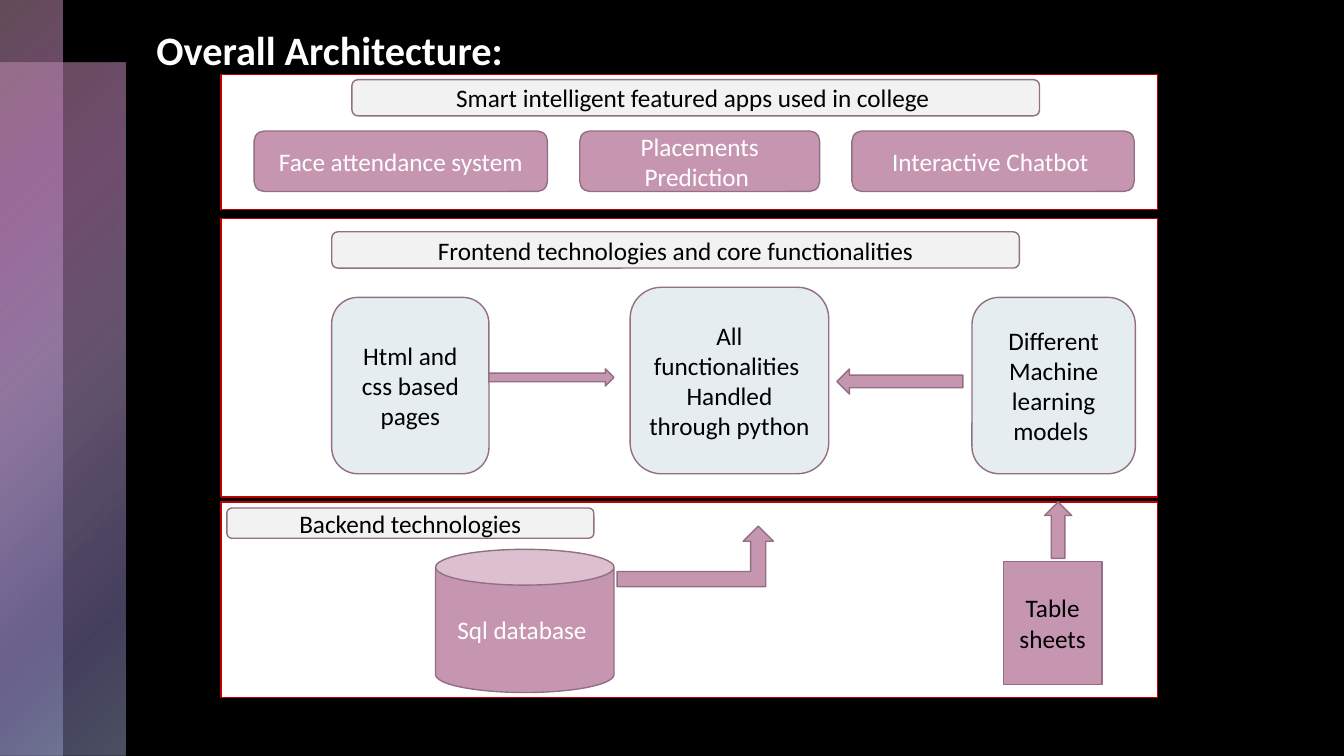
"""Build the overall architecture slide."""
from lxml.etree import SubElement
from pptx import Presentation
from pptx.dml.color import RGBColor
from pptx.enum.shapes import MSO_SHAPE as Shape
from pptx.enum.text import MSO_ANCHOR as Anchor, PP_ALIGN as Align
from pptx.oxml.ns import qn
from pptx.util import Inches, Pt

COLORS = {"black": "000000", "white": "FFFFFF", "red": "C00000", "pink": "C696B1",
          "plum": "926F83", "gray": "F2F2F2", "ice": "E5EDF1"}
TITLE = ("Overall Architecture:", (1.45, 0.18, 5.35, 0.62))
SIDE_BARS = [(0, 0.62, 1.24, 6.88), (0, 0, 0.62, 7.5)]
BAR_STOPS = [(0, "C696B1", 50), (25, "BA7FB9", 60), (50, "B396C6", 55),
             (81, "8A7FBA", 50), (99, "96A1C6", 50)]
PANEL_LEFT, PANEL_WIDTH = 2.19, 9.29
PANELS = [(0.74, 1.34), (2.17, 2.76), (4.98, 1.94)]
STYLES = {
    "panel": {"shape": Shape.RECTANGLE, "fill": "white", "line": "red"},
    "heading": {"shape": Shape.ROUNDED_RECTANGLE, "fill": "gray"},
    "app": {"shape": Shape.ROUNDED_RECTANGLE, "fill": "pink", "text": "white"},
    "module": {"shape": Shape.ROUNDED_RECTANGLE, "fill": "ice"},
    "database": {"shape": Shape.CAN, "fill": "pink", "text": "white"},
    "sheet": {"shape": Shape.RECTANGLE, "fill": "pink"},
    "right": {"shape": Shape.RIGHT_ARROW, "fill": "pink"},
    "left": {"shape": Shape.LEFT_ARROW, "fill": "pink"},
    "up": {"shape": Shape.UP_ARROW, "fill": "pink"},
    "bent": {"shape": Shape.BENT_UP_ARROW, "fill": "pink"},
}
APP_TOP, APP_HEIGHT = 1.3, 0.6
APPS = [("Face attendance system", 2.52, 2.91), ("Placements Prediction ", 5.75, 2.38),
        ("Interactive Chatbot ", 8.45, 2.8)]
PARTS = [
    ("heading", (3.49, 0.79, 6.82, 0.36), ["Smart intelligent featured apps used in college "]),
    ("heading", (3.29, 2.3, 6.82, 0.36), ["Frontend technologies and core functionalities"]),
    ("module", (3.29, 2.95, 1.56, 1.75), ["Html and css based pages"]),
    ("right", (4.85, 3.66, 1.24, 0.17), []),
    ("module", (6.25, 2.85, 1.97, 1.85), ["All functionalities ", "Handled through python"]),
    ("left", (8.3, 3.66, 1.25, 0.25), []),
    ("module", (9.64, 2.95, 1.62, 1.75), ["Different Machine learning models "]),
    ("database", (4.32, 5.45, 1.77, 1.42), ["Sql database "]),
    ("bent", (6.12, 5.22, 1.55, 0.6), []),
    ("sheet", (9.95, 5.57, 0.98, 1.22), ["Table sheets"]),
    ("up", (10.36, 4.98, 0.27, 0.56), []),
    ("heading", (2.25, 5.04, 3.64, 0.3), ["Backend technologies"]),
]


def color(name):
    return RGBColor.from_string(COLORS[name])


def write(para, text, size, ink, bold=False):
    span = para.add_run()
    span.text = text
    for key, value in {"name": "Calibri", "size": Pt(size), "bold": bold}.items():
        setattr(span.font, key, value)
    span.font.color.rgb = color(ink)


def add_side_bar(page, place):
    bar = page.shapes.add_shape(Shape.RECTANGLE, *map(Inches, place))
    bar.shadow.inherit = False
    bar.line.fill.background()
    bar.fill.gradient()
    gradient = bar.element.spPr.find(qn("a:gradFill"))
    for child in list(gradient):
        gradient.remove(child)
    stops = SubElement(gradient, qn("a:gsLst"))
    for position, tint, opacity in BAR_STOPS:
        stop = SubElement(stops, qn("a:gs"), pos=str(position * 1000))
        shade = SubElement(stop, qn("a:srgbClr"), val=tint)
        SubElement(shade, qn("a:alpha"), val=str(opacity * 1000))
    circle = SubElement(gradient, qn("a:path"), {"path": "circle"})
    SubElement(circle, qn("a:fillToRect"), r="100000", b="100000")


def add_part(page, kind, place, lines=()):
    style = STYLES[kind]
    box = page.shapes.add_shape(style["shape"], *map(Inches, place))
    box.shadow.inherit = False
    box.fill.solid()
    box.fill.fore_color.rgb = color(style["fill"])
    box.line.color.rgb = color(style.get("line", "plum"))
    box.line.width = Pt(1)
    frame = box.text_frame
    frame.word_wrap = True
    frame.vertical_anchor = Anchor.MIDDLE
    for index, text in enumerate(lines):
        para = frame.add_paragraph() if index else frame.paragraphs[0]
        para.alignment = Align.CENTER
        write(para, text, 18, style.get("text", "black"))


def add_title(page):
    text, place = TITLE
    title = page.shapes.title
    for key, value in zip(("left", "top", "width", "height"), place):
        setattr(title, key, Inches(value))
    title.text_frame.vertical_anchor = Anchor.MIDDLE
    para = title.text_frame.paragraphs[0]
    para.alignment = Align.LEFT
    write(para, text, 28.8, "white", bold=True)


def main():
    deck = Presentation()
    deck.slide_width, deck.slide_height = Inches(13.33), Inches(7.5)
    page = deck.slides.add_slide(deck.slide_layouts[5])
    page.background.fill.solid()
    page.background.fill.fore_color.rgb = color("black")
    for place in SIDE_BARS:
        add_side_bar(page, place)
    add_title(page)
    for top, height in PANELS:
        add_part(page, "panel", (PANEL_LEFT, top, PANEL_WIDTH, height))
    for text, left, width in APPS:
        add_part(page, "app", (left, APP_TOP, width, APP_HEIGHT), [text])
    for kind, place, lines in PARTS:
        add_part(page, kind, place, lines)
    deck.save("out.pptx")


if __name__ == "__main__":
    main()
